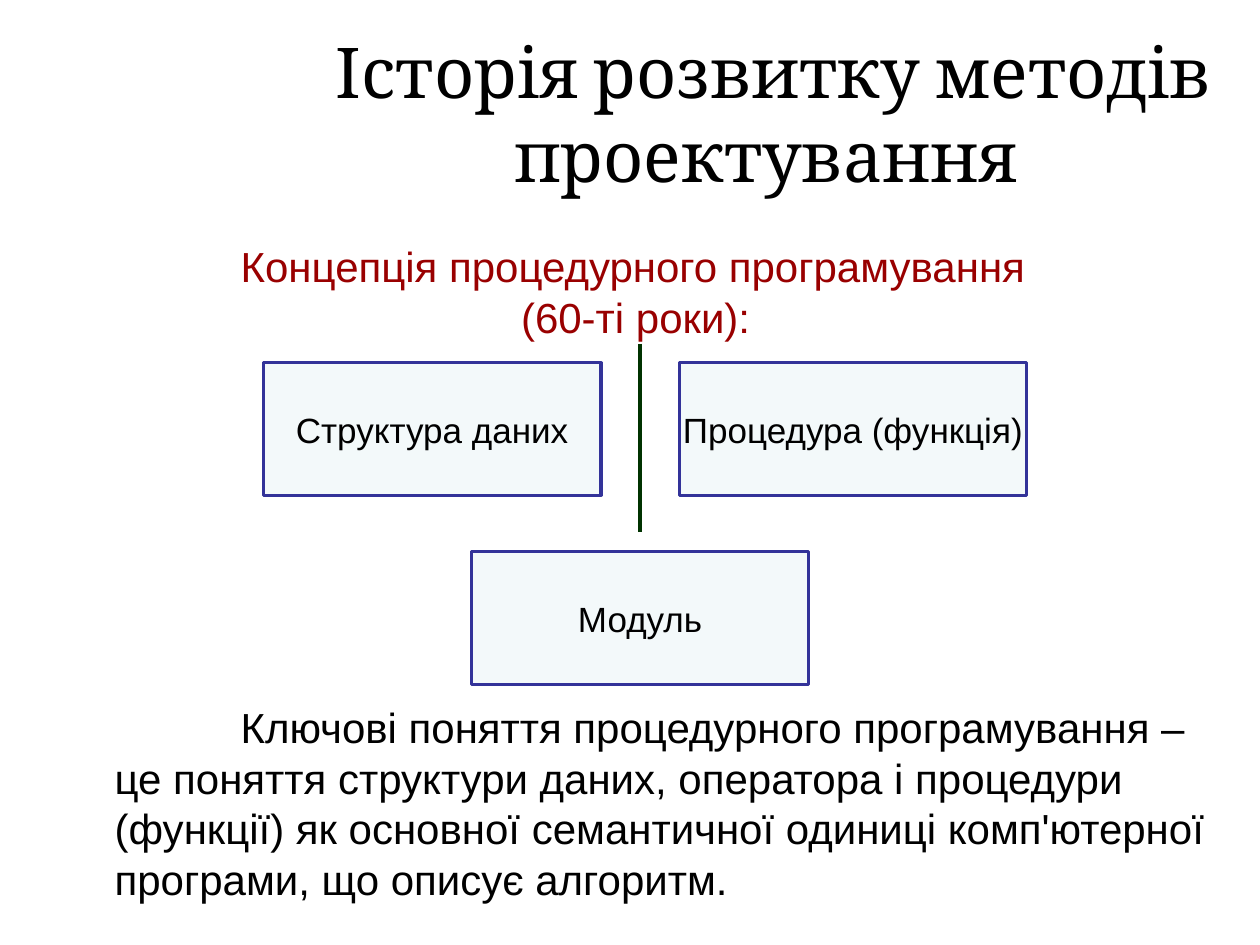
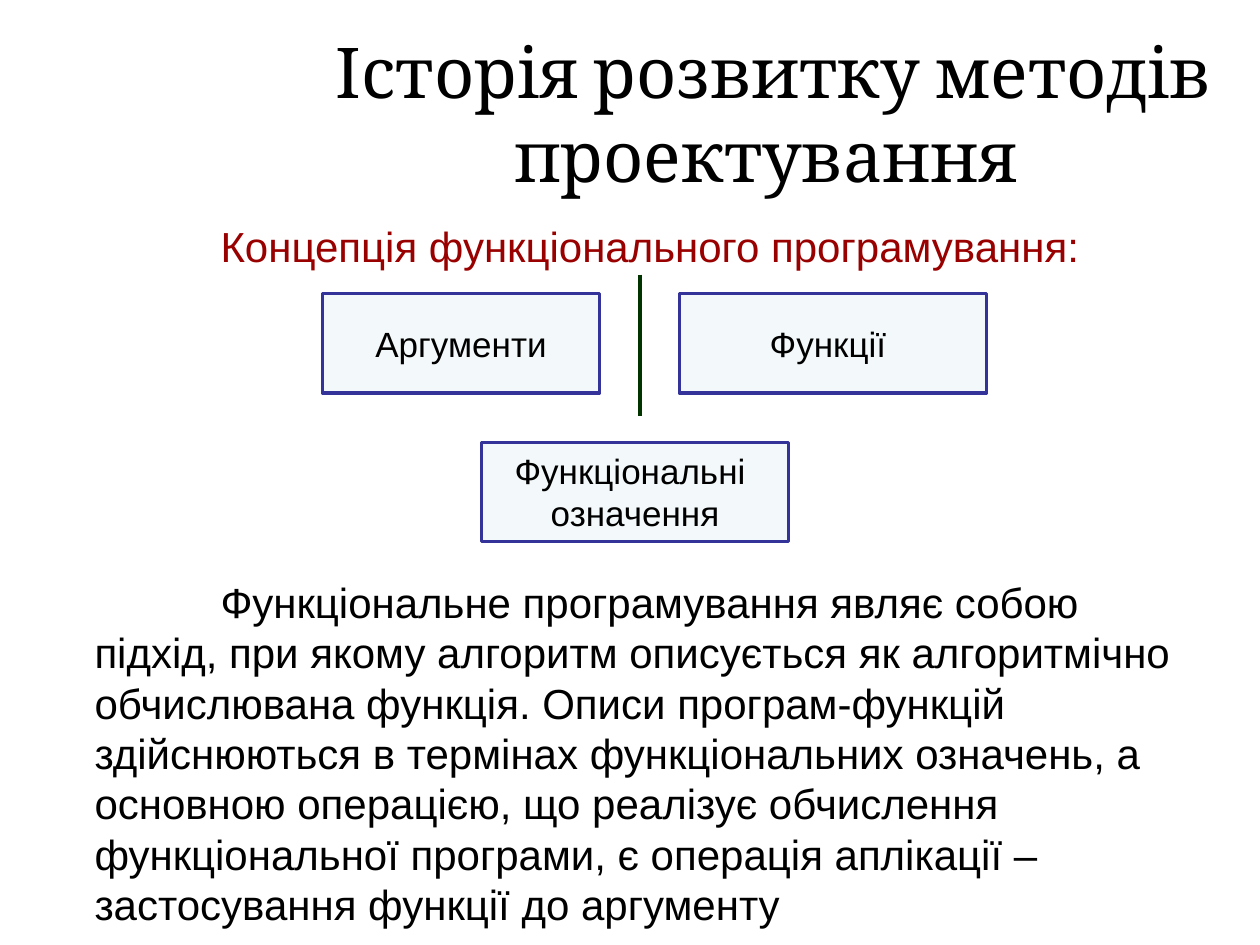
"""Build two slides on the history of software design methods."""
from lxml import etree
from pptx import Presentation
from pptx.dml.color import RGBColor
from pptx.enum.shapes import MSO_CONNECTOR, MSO_SHAPE
from pptx.enum.text import MSO_ANCHOR, MSO_AUTO_SIZE, PP_ALIGN
from pptx.oxml.ns import qn
from pptx.util import Inches, Pt

CENTER, LEFT = PP_ALIGN.CENTER, PP_ALIGN.LEFT
MIDDLE, TOP = MSO_ANCHOR.MIDDLE, MSO_ANCHOR.TOP
NO_FIT = MSO_AUTO_SIZE.NONE
RECT, STRAIGHT = MSO_SHAPE.RECTANGLE, MSO_CONNECTOR.STRAIGHT
COLORS = {"text": "000000", "concept": "990000", "fill": "BBE0E3",
          "border": "333399", "divider": "003300"}
TITLE = "Історія розвитку методів проектування "
LINE_HEIGHT = 1.2

prs = Presentation()
prs.slide_width, prs.slide_height = Inches(10), Inches(7.5)


def share(left, top, width, height):
    """Turn percentages of the slide into a position and a size."""
    w, h = prs.slide_width / 100, prs.slide_height / 100
    return [int(v) for v in (left * w, top * h, width * w, height * h)]


def write(tf, text, size=24, font="Arial", color="text", align=LEFT,
          before=0, margin=0, indent=0, first=False):
    """Write one formatted paragraph into a text frame."""
    p = tf.paragraphs[0] if first else tf.add_paragraph()
    pPr = p._p.get_or_add_pPr()
    pPr.set("marL", str(Inches(margin)))
    pPr.set("indent", str(Inches(indent)))
    etree.SubElement(pPr, qn("a:buNone"))
    p.alignment = align
    p.space_before = Pt(before)
    p.line_spacing = Pt(size * LINE_HEIGHT)
    r = p.add_run()
    r.text = text
    r.font.size, r.font.name = Pt(size), font
    r.font.color.rgb = RGBColor.from_string(COLORS[color])


slides = [
    {
        "body": (4.3, 24.8, 92.3, 81.33),
        "concept": ["Концепція процедурного програмування", "(60-ті роки):"],
        "gap": 206,
        "summary": "Ключові поняття процедурного програмування – це поняття "
                   "структури даних, оператора і процедури (функції) як основної "
                   "семантичної одиниці комп'ютерної програми, що описує алгоритм.",
        "boxes": [
            (["Модуль"], 37.4, 58.4, 26.8),
            (["Процедура (функція)"], 53.9, 38.4, 27.6),
            (["Структура даних"], 20.9, 38.4, 26.8),
        ],
        "box_height": 14,
        "divider": (36.4, 19.87),
    },
    {
        "body": (2.7, 22.67, 94.5, 81.33),
        "concept": ["Концепція функціонального програмування:"],
        "gap": 174.5,
        "summary": "Функціональне програмування являє собою підхід, при якому "
                   "алгоритм описується як алгоритмічно обчислювана функція. "
                   "Описи програм-функцій здійснюються в термінах функціональних "
                   "означень, а основною операцією, що реалізує обчислення "
                   "функціональної програми, є операція аплікації – "
                   "застосування функції до аргументу",
        "boxes": [
            (["Функціональні ", "означення"], 38.2, 46.8, 24.4),
            (["Функції "], 53.9, 31.07, 24.4),
            (["Аргументи"], 25.6, 31.07, 22),
        ],
        "box_height": 10.53,
        "divider": (29.07, 14.93),
    },
]

for data in slides:
    s = prs.slides.add_slide(prs.slide_layouts[1])
    title, body = s.placeholders
    frames = [(title, (24.8, 4.8, 73.2, 14.27), MIDDLE), (body, data["body"], TOP)]
    for sp, area, anchor in frames:
        sp.left, sp.top, sp.width, sp.height = share(*area)
        tf = sp.text_frame
        tf.word_wrap, tf.auto_size, tf.vertical_anchor = True, NO_FIT, anchor

    write(title.text_frame, TITLE, size=40, font="Cambria", align=CENTER, first=True)
    tf = body.text_frame
    write(tf, data["concept"][0], color="concept", margin=0.38, indent=1, first=True)
    for text in data["concept"][1:]:
        write(tf, text, color="concept", align=CENTER)
    write(tf, data["summary"], before=data["gap"], margin=0.38, indent=1)

    for lines, left, top, width in data["boxes"]:
        sp = s.shapes.add_shape(RECT, *share(left, top, width, data["box_height"]))
        sp.shadow.inherit = False
        sp.fill.solid()
        sp.fill.fore_color.rgb = RGBColor.from_string(COLORS["fill"])
        color = sp._element.spPr.find(qn("a:solidFill"))[0]
        etree.SubElement(color, qn("a:alpha"), val="17000")
        sp.line.color.rgb = RGBColor.from_string(COLORS["border"])
        sp.line.width = Pt(1.75)
        tf = sp.text_frame
        tf.word_wrap, tf.vertical_anchor = False, MIDDLE
        for i, text in enumerate(lines):
            write(tf, text, size=20, align=CENTER, first=i == 0)

    top, height = data["divider"]
    x, y, w, h = share(50.8, top, 0, height)
    line = s.shapes.add_connector(STRAIGHT, x, y, x + w, y + h)
    line.line.color.rgb = RGBColor.from_string(COLORS["divider"])
    line.line.width = Pt(2.25)
    etree.SubElement(line._element.spPr, qn("a:effectLst"))

prs.save("out.pptx")
